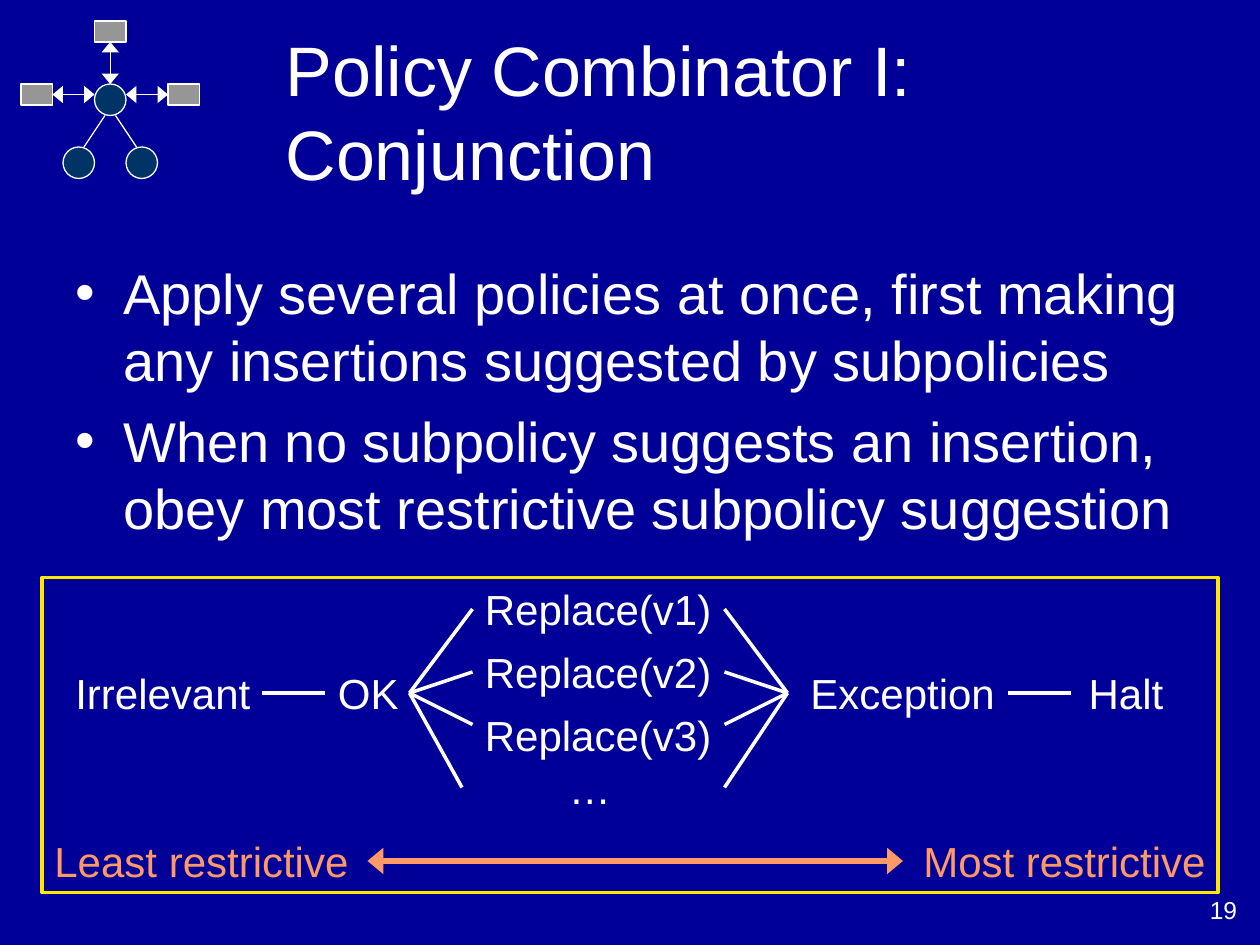
from dataclasses import dataclass
from typing import Optional

from lxml import etree
from pptx import Presentation
from pptx import util as u
from pptx.dml.color import RGBColor
from pptx.enum import shapes, text
from pptx.oxml.ns import qn

COLORS = {
    "background": "000099", "white": "FFFFFF", "gray": "969696",
    "navy": "003366", "yellow": "FFE701", "orange": "FF9966",
}
FONT = "Arial"
CELL = u.Inches(1) // 12  # grid of 120 columns by 90 rows
TOP, LEFT, BOTTOM, RIGHT = range(4)  # connection sites


@dataclass
class Label:
    wording: str
    column: float
    row: float
    columns: float
    color: str = "white"


@dataclass
class Node:
    column: float
    row: float
    columns: float
    rows: float
    kind: int
    fill: Optional[str]
    line: str = "white"
    width: float = 0.75


@dataclass
class Link:
    start: tuple  # (column, row), or (shape, site) to join a shape
    end: tuple
    width: float = 2
    color: str = "white"
    arrows: bool = False


def rgb(name: str) -> RGBColor:
    return RGBColor.from_string(COLORS[name])


def cells(*counts: float) -> list:
    return [u.Emu(round(count * CELL)) for count in counts]


def format_object(target, **values) -> None:
    for name, value in values.items():
        setattr(target, name, value)


def format_paragraph(paragraph, size: float, color: str = "white", **values) -> None:
    format_object(paragraph, **values)
    format_object(paragraph.font, name=FONT, size=u.Pt(size))
    paragraph.font.color.rgb = rgb(color)


def add_text(slide, wording: str, box: tuple, size: float, color: str = "white",
             wrap: bool = True, **values):
    shape = slide.shapes.add_textbox(*cells(*box))
    fit = text.MSO_AUTO_SIZE.NONE if wrap else text.MSO_AUTO_SIZE.SHAPE_TO_FIT_TEXT
    format_object(shape.text_frame, text=wording, word_wrap=wrap, auto_size=fit)
    for paragraph in shape.text_frame.paragraphs:
        format_paragraph(paragraph, size, color, **values)
    return shape


def add_label(slide, label: Label):
    box = (label.column, label.row, label.columns, 6)
    shape = add_text(slide, label.wording, box, 24, label.color, wrap=False,
                     alignment=text.PP_ALIGN.LEFT)
    shape.text_frame.margin_right = u.Inches(0.05)  # room to stay on one line
    return shape


def add_node(slide, node: Node):
    shape = slide.shapes.add_shape(
        node.kind, *cells(node.column, node.row, node.columns, node.rows))
    shape.shadow.inherit = False
    if node.fill:
        shape.fill.solid()
        shape.fill.fore_color.rgb = rgb(node.fill)
    else:
        shape.fill.background()
    shape.line.color.rgb = rgb(node.line)
    shape.line.width = u.Pt(node.width)
    return shape


def add_link(slide, link: Link) -> None:
    joined = [not isinstance(point[0], (int, float)) for point in (link.start, link.end)]
    ends = [(0, 0) if join else point
            for join, point in zip(joined, (link.start, link.end))]
    connector = slide.shapes.add_connector(
        shapes.MSO_CONNECTOR.STRAIGHT, *cells(*ends[0], *ends[1]))
    if joined[0]:
        connector.begin_connect(*link.start)
    if joined[1]:
        connector.end_connect(*link.end)
    connector.line.color.rgb = rgb(link.color)
    connector.line.width = u.Pt(link.width)
    properties = connector.element.spPr
    if link.arrows:
        for tag in ("a:headEnd", "a:tailEnd"):
            etree.SubElement(properties.find(qn("a:ln")), qn(tag), type="triangle", w="lg")
    etree.SubElement(properties, qn("a:effectLst"))


def add_bullet(paragraph) -> None:
    properties = paragraph._p.get_or_add_pPr()
    properties.set("marL", str(u.Inches(0.38)))
    properties.set("indent", str(-u.Inches(0.38)))
    color = etree.SubElement(properties, qn("a:buClr"))
    etree.SubElement(color, qn("a:srgbClr"), val=COLORS["white"])
    etree.SubElement(properties, qn("a:buFont"), typeface=FONT)
    etree.SubElement(properties, qn("a:buChar"), char="•")


def draw_emblem(slide) -> None:
    box, circle = shapes.MSO_SHAPE.RECTANGLE, shapes.MSO_SHAPE.OVAL
    top, right, left = [add_node(slide, Node(column, row, 3, 2, box, "gray"))
                        for column, row in ((9, 2), (16, 8), (2, 8))]
    hub, *_ = [add_node(slide, Node(column, row, 3, 3, circle, "navy"))
               for column, row in ((9, 8), (12, 14), (6, 14))]
    for start, end, arrows in (
        ((8, 14), (10, 11), False),
        ((13, 14), (11, 11), False),
        ((left, RIGHT), (9, 9), True),
        ((12, 9), (right, LEFT), True),
        ((top, BOTTOM), (hub, TOP), True),
    ):
        add_link(slide, Link(start, end, 0.75, arrows=arrows))


def draw_title(slide) -> None:
    title = slide.shapes.title
    left, top, width, height = cells(26, 3, 90, 15)
    format_object(title, left=left, top=top, width=width, height=height)
    format_object(title.text_frame, text="Policy Combinator I: Conjunction",
                  word_wrap=True, auto_size=text.MSO_AUTO_SIZE.NONE,
                  vertical_anchor=text.MSO_ANCHOR.MIDDLE)
    format_paragraph(title.text_frame.paragraphs[0], 40, alignment=text.PP_ALIGN.LEFT)


def draw_bullets(slide) -> None:
    wording = "\n".join((
        "Apply several policies at once, first making any insertions "
        "suggested by subpolicies",
        "When no subpolicy suggests an insertion, obey most restrictive "
        "subpolicy suggestion",
    ))
    body = add_text(slide, wording, (6, 24, 108, 29), 32)
    for index, paragraph in enumerate(body.text_frame.paragraphs):
        if index:
            paragraph.space_before = u.Pt(8)
        add_bullet(paragraph)


def draw_ordering(slide) -> None:
    # Suggestions, from least to most restrictive
    irrelevant, ok, exception, _ = [
        add_label(slide, Label(wording, column, 63, columns))
        for wording, column, columns in (
            ("Irrelevant", 6, 19), ("OK", 31, 8), ("Exception", 76, 20), ("Halt", 102.5, 9.5))]
    first, second, _ = [add_label(slide, Label(f"Replace(v{number})", 45, 49 + 6 * number, 24))
                        for number in (1, 2, 3)]
    for label in (Label("…", 53, 72, 6.4),
                  Label("Least restrictive", 4, 79, 30.4, "orange"),
                  Label("Most restrictive", 86.75, 79, 29.25, "orange")):
        add_label(slide, label)

    # Frame and scale
    add_node(slide, Node(4, 55, 112, 30, shapes.MSO_SHAPE.RECTANGLE, None, "yellow", 2))
    add_link(slide, Link((35, 82), (86, 82), 3, "orange", True))

    # Order relations
    add_link(slide, Link((irrelevant, RIGHT), (ok, LEFT)))
    add_link(slide, Link((exception, RIGHT), (102, 66)))
    for end, start in (((first, LEFT), (first, RIGHT)),
                       ((second, LEFT), (second, RIGHT)),
                       ((45, 69), (69, 69)),
                       ((44, 75), (69, 75))):
        add_link(slide, Link((ok, RIGHT), end))
        add_link(slide, Link(start, (75, 66)))


def main() -> None:
    presentation = Presentation()
    presentation.slide_width, presentation.slide_height = cells(120, 90)
    slide = presentation.slides.add_slide(presentation.slide_layouts[5])
    slide.background.fill.solid()
    slide.background.fill.fore_color.rgb = rgb("background")

    draw_emblem(slide)
    draw_title(slide)
    draw_bullets(slide)
    draw_ordering(slide)
    # Page number
    add_text(slide, "19", (91, 84.7, 28, 6.2), 14, alignment=text.PP_ALIGN.RIGHT)
    presentation.save("out.pptx")


if __name__ == "__main__":
    main()
